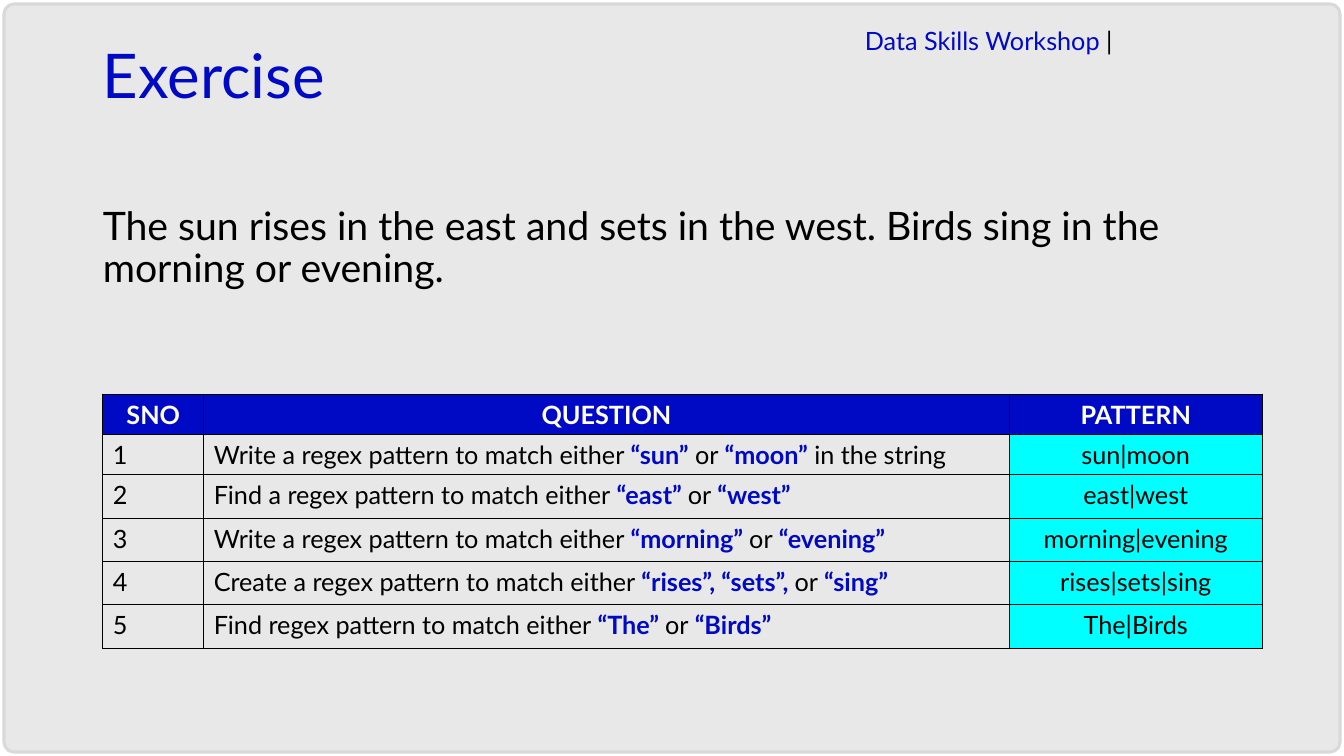
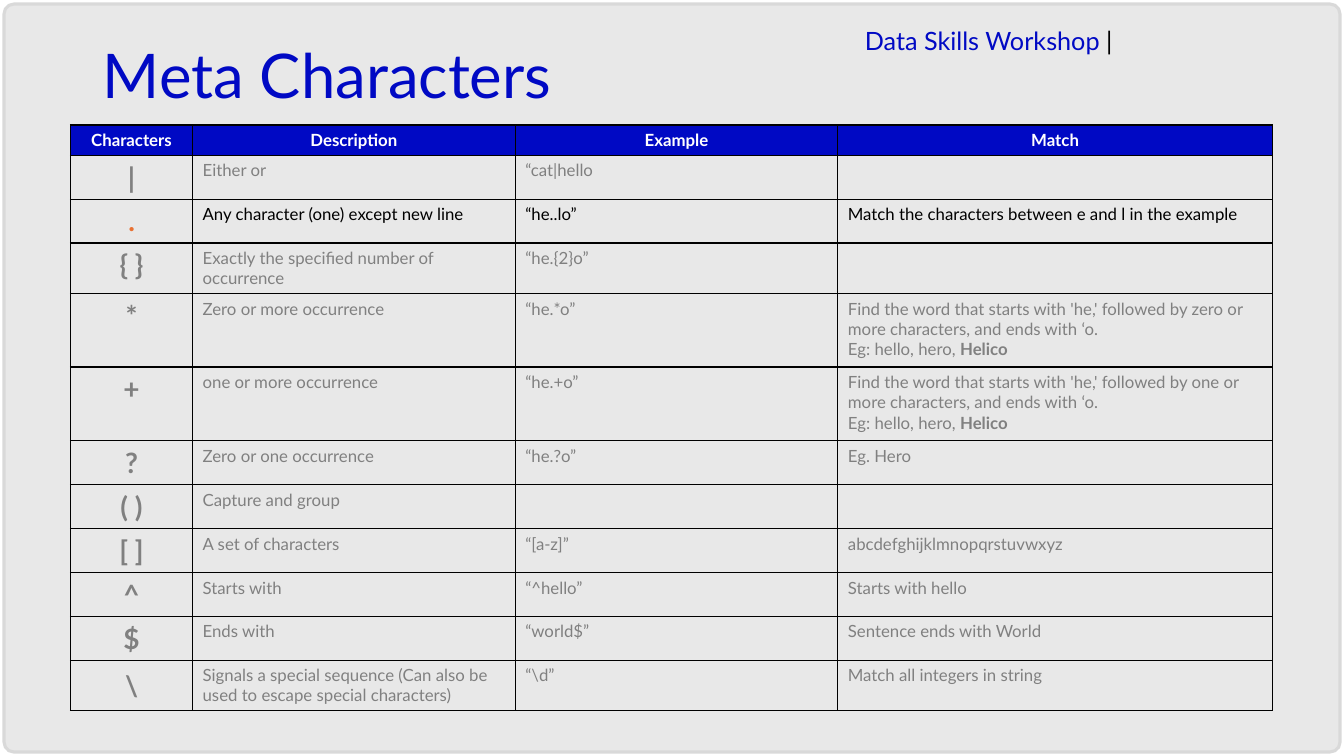
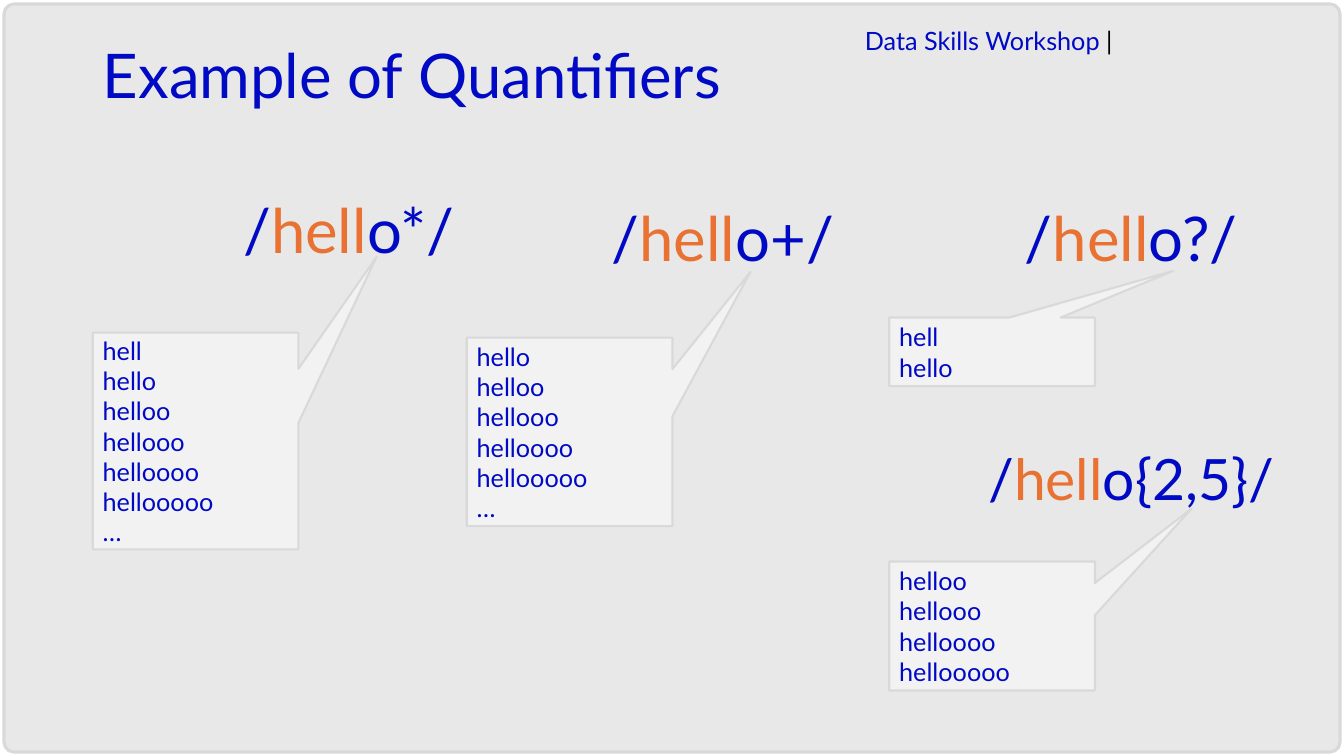
from dataclasses import dataclass

from lxml import etree
from pptx import Presentation
from pptx import util as u
from pptx.dml.color import RGBColor
from pptx.enum import shapes, text
from pptx.oxml import ns

BLUE = RGBColor(0x00, 0x09, 0xC4)
ORANGE = RGBColor(0xE9, 0x71, 0x32)
CYAN = RGBColor(0x00, 0xFF, 0xFF)
BLACK = RGBColor(0x00, 0x00, 0x00)
WHITE = RGBColor(0xFF, 0xFF, 0xFF)
GREY = RGBColor(0x80, 0x80, 0x80)
PANEL = RGBColor(0xE8, 0xE8, 0xE8)
PANEL_EDGE = RGBColor(0xD9, 0xD9, 0xD9)
CALLOUT_FILL = RGBColor(0xF2, 0xF2, 0xF2)

FONT = "Lato"
MARK = "~"  # encloses emphasised words
LEFT, CENTER = text.PP_ALIGN.LEFT, text.PP_ALIGN.CENTER
TOP, MIDDLE = text.MSO_ANCHOR.TOP, text.MSO_ANCHOR.MIDDLE
TITLE_ONLY, TITLE_AND_BODY = 5, 1
CALLOUT_WIDTH = 2.04


@dataclass
class CellStyle:
    size: float
    color: RGBColor
    bold: bool = False
    align: text.PP_ALIGN = LEFT
    anchor: text.MSO_ANCHOR = TOP
    fill: RGBColor | None = None
    accent: RGBColor | None = None


@dataclass
class Symbol:
    sign: str
    description: str
    example: str = ""
    match: str = ""
    anchor: text.MSO_ANCHOR = TOP
    current: bool = False


@dataclass
class Quantifier:
    pattern: str
    pattern_at: tuple[float, float]
    matches: str
    callout_at: tuple[float, float]
    callout_height: float
    pointer: tuple[float, float]
    size: float = 44


EXERCISE = [
    ("Write a regex pattern to match either ~“sun”~ or ~“moon”~ in the string", "sun|moon"),
    ("Find a regex pattern to match either ~“east” ~or ~“west”~", "east|west"),
    ("Write a regex pattern to match either ~“morning” ~or~ “evening”~", "morning|evening"),
    ("Create a regex pattern to match either ~“rises”, “sets”, ~or~ “sing”~", "rises|sets|sing"),
    ("Find regex pattern to match either ~“The” ~or~ “Birds”~", "The|Birds"),
]

REPEAT_MATCH = (
    "Find the word that starts with 'he,' followed by {} or more characters, "
    "and ends with ‘o.\nEg: hello, hero, ~Helico~"
)
SYMBOLS = [
    Symbol("|", "Either or", "“cat|hello"),
    Symbol(".", "Any character (one) except new line", "“he..lo”",
           "Match the characters between e and l in the example", MIDDLE, True),
    Symbol("{ }", "Exactly the specified number of occurrence", "“he.{2}o”"),
    Symbol("*", "Zero or more occurrence", "“he.*o”", REPEAT_MATCH.format("zero")),
    Symbol("+", "one or more occurrence", "“he.+o”", REPEAT_MATCH.format("one")),
    Symbol("?", "Zero or one occurrence", "“he.?o”", "Eg. Hero"),
    Symbol("( )", "Capture and group"),
    Symbol("[ ]", "A set of characters", "“[a-z]”", "abcdefghijklmnopqrstuvwxyz", MIDDLE),
    Symbol("^", "Starts with", "“^hello”", "Starts with hello"),
    Symbol("$", "Ends with", "“world$”", "Sentence ends with World"),
    Symbol("\\", "Signals a special sequence (Can also be used to escape special characters)",
           "“\\d”", "Match all integers in string", MIDDLE),
]

QUANTIFIERS = [
    Quantifier("/~hell~o*/", (1.94, 1.94),
               "hell\nhello\nhelloo\nhellooo\nhelloooo\nhellooooo\n…",
               (0.92, 3.3), 2.15, (0.88, -0.85)),
    Quantifier("/~hell~o+/", (5.65, 2.02),
               "hello\nhelloo\nhellooo\nhelloooo\nhellooooo\n…",
               (4.63, 3.35), 1.87, (0.88, -0.85)),
    Quantifier("/~hell~o?/", (9.7, 2.02), "hell\nhello",
               (8.82, 3.15), 0.68, (0.88, -1.18)),
    Quantifier("/~hell~o{2,5}/", (9.7, 4.43), "helloo\nhellooo\nhelloooo\nhellooooo",
               (8.82, 5.57), 1.28, (0.97, -0.91), 40.7),
]


def write_text(frame, content: str, *, size: float, color: RGBColor, bold: bool = False,
               accent: RGBColor | None = None, accent_bold: bool = False,
               align=LEFT, anchor=TOP, spacing: float = 1.0) -> None:
    """Fill a text frame; newlines split paragraphs, marks enclose accented runs."""
    frame.word_wrap = True
    frame.vertical_anchor = anchor
    for index, line in enumerate(content.split("\n")):
        paragraph = frame.add_paragraph() if index else frame.paragraphs[0]
        paragraph.alignment = align
        paragraph.line_spacing = spacing
        paragraph.space_before = u.Pt(0)
        for position, part in enumerate(line.split(MARK)):
            if not part:
                continue
            accented = position % 2 == 1
            run = paragraph.add_run()
            run.text = part
            run.font.name = FONT
            run.font.size = u.Pt(size)
            run.font.bold = accent_bold if accented else bold
            run.font.color.rgb = accent if accented and accent is not None else color


def place(shape, left: float, top: float, width: float, height: float) -> None:
    shape.left, shape.top = u.Inches(left), u.Inches(top)
    shape.width, shape.height = u.Inches(width), u.Inches(height)


def add_box(slide, kind, box: tuple, fill: RGBColor, line_width: float, adjustments: tuple):
    shape = slide.shapes.add_shape(kind, *map(u.Inches, box))
    shape.shadow.inherit = False
    shape.fill.solid()
    shape.fill.fore_color.rgb = fill
    shape.line.color.rgb = PANEL_EDGE
    shape.line.width = u.Pt(line_width)
    for index, value in enumerate(adjustments):
        shape.adjustments[index] = value
    return shape


def add_label(slide, box: tuple, content: str, **style):
    label = slide.shapes.add_textbox(*map(u.Inches, box))
    write_text(label.text_frame, content, **style)
    return label


def build_master(presentation, slide) -> None:
    """Draw the shared panel and header, then move them to the slide master."""
    panel = add_box(slide, shapes.MSO_SHAPE.ROUNDED_RECTANGLE, (0.04, 0.04, 13.25, 7.42),
                    PANEL, 2.25, (0.013,))
    header = add_label(slide, (8.48, 0.2, 2.92, 0.4), "Data Skills Workshop ~|~",
                       size=18, color=BLUE, accent=BLACK)
    header.text_frame.word_wrap = False
    for number, shape in enumerate((panel, header), start=101):
        shape.element.nvSpPr.cNvPr.set("id", str(number))
        presentation.slide_master.shapes.element.append(shape.element)


def add_titled_slide(presentation, title: str, layout: int = TITLE_ONLY):
    slide = presentation.slides.add_slide(presentation.slide_layouts[layout])
    place(slide.shapes.title, 0.92, 0.4, 11.5, 1.45)
    write_text(slide.shapes.title.text_frame, title, size=44, color=BLUE, spacing=0.9)
    return slide


def add_borders(cell) -> None:
    properties = cell._tc.get_or_add_tcPr()
    for side in ("a:lnL", "a:lnR", "a:lnT", "a:lnB"):
        line = etree.SubElement(properties, ns.qn(side), w=str(u.Pt(1)))
        fill = etree.SubElement(line, ns.qn("a:solidFill"))
        etree.SubElement(fill, ns.qn("a:srgbClr"), val=str(BLACK))


def add_grid(slide, left: float, top: float, widths: list, heights: list, rows: list) -> None:
    """Add a table whose rows hold (text, CellStyle) pairs."""
    frame = slide.shapes.add_table(len(heights), len(widths), u.Inches(left), u.Inches(top),
                                   u.Inches(sum(widths)), u.Inches(sum(heights)))
    table = frame.table
    table.first_row = table.horz_banding = False
    for column, width in zip(table.columns, widths):
        column.width = u.Inches(width)
    for row, height, contents in zip(table.rows, heights, rows):
        row.height = u.Inches(height)
        for cell, (content, style) in zip(row.cells, contents):
            add_borders(cell)
            if style.fill is None:
                cell.fill.background()
            else:
                cell.fill.solid()
                cell.fill.fore_color.rgb = style.fill
            write_text(cell.text_frame, content, size=style.size, color=style.color,
                       bold=style.bold, accent=style.accent, accent_bold=True,
                       align=style.align)
            cell.vertical_anchor = style.anchor


def header_row(size: float, *names: str) -> list:
    style = CellStyle(size, WHITE, True, CENTER, fill=BLUE)
    return [(name, style) for name in names]


def build_exercise(slide) -> None:
    # Sample sentence
    body = slide.placeholders[1]
    place(body, 0.92, 2, 11.5, 4.76)
    properties = body.text_frame.paragraphs[0]._p.get_or_add_pPr()
    properties.set("marL", "0")
    properties.set("indent", "0")
    etree.SubElement(properties, ns.qn("a:buNone"))
    write_text(body.text_frame, "The sun rises in the east and sets in the west. "
               "Birds sing in the morning or evening.", size=28, color=BLACK, spacing=0.9)
    body.text_frame.auto_size = text.MSO_AUTO_SIZE.NONE

    # Questions and answers
    question_style = CellStyle(18, BLACK, accent=BLUE)
    answer_style = CellStyle(18, BLACK, align=CENTER, fill=CYAN)
    rows = [header_row(18, "SNO", "QUESTION", "PATTERN")]
    for number, (question, answer) in enumerate(EXERCISE, start=1):
        rows.append([(str(number), question_style), (question, question_style),
                     (answer, answer_style)])
    add_grid(slide, 1.02, 3.91, [1, 7.99, 2.51], [0.4, 0.4] + [0.43] * 4, rows)


def build_meta_characters(slide) -> None:
    rows = [header_row(12, "Characters", "Description", "Example", "Match")]
    for symbol in SYMBOLS:
        sign_style = CellStyle(20, ORANGE if symbol.current else GREY, True, CENTER, symbol.anchor)
        detail_style = CellStyle(12, BLACK if symbol.current else GREY)
        details = (symbol.description, symbol.example, symbol.match)
        rows.append([(symbol.sign, sign_style)] + [(detail, detail_style) for detail in details])
    heights = [0.3, 0.43, 0.43, 0.5, 0.73, 0.73] + [0.43] * 5 + [0.5]
    add_grid(slide, 0.7, 1.24, [1.21, 3.2, 3.2, 4.31], heights, rows)


def build_quantifiers(slide) -> None:
    for item in QUANTIFIERS:
        add_label(slide, (*item.pattern_at, 3.04, 0.8), item.pattern, size=item.size,
                  color=BLUE, accent=ORANGE, align=CENTER, spacing=0.9)
        callout = add_box(slide, shapes.MSO_SHAPE.RECTANGULAR_CALLOUT,
                          (*item.callout_at, CALLOUT_WIDTH, item.callout_height),
                          CALLOUT_FILL, 1.5, item.pointer)
        write_text(callout.text_frame, item.matches, size=18, color=BLUE, anchor=MIDDLE)


def main() -> None:
    presentation = Presentation()
    presentation.slide_width, presentation.slide_height = u.Inches(13.33), u.Inches(7.5)
    exercise = add_titled_slide(presentation, "Exercise", TITLE_AND_BODY)
    build_master(presentation, exercise)
    build_exercise(exercise)
    build_meta_characters(add_titled_slide(presentation, "Meta Characters"))
    build_quantifiers(add_titled_slide(presentation, "Example of Quantifiers"))
    presentation.save("out.pptx")


if __name__ == "__main__":
    main()
